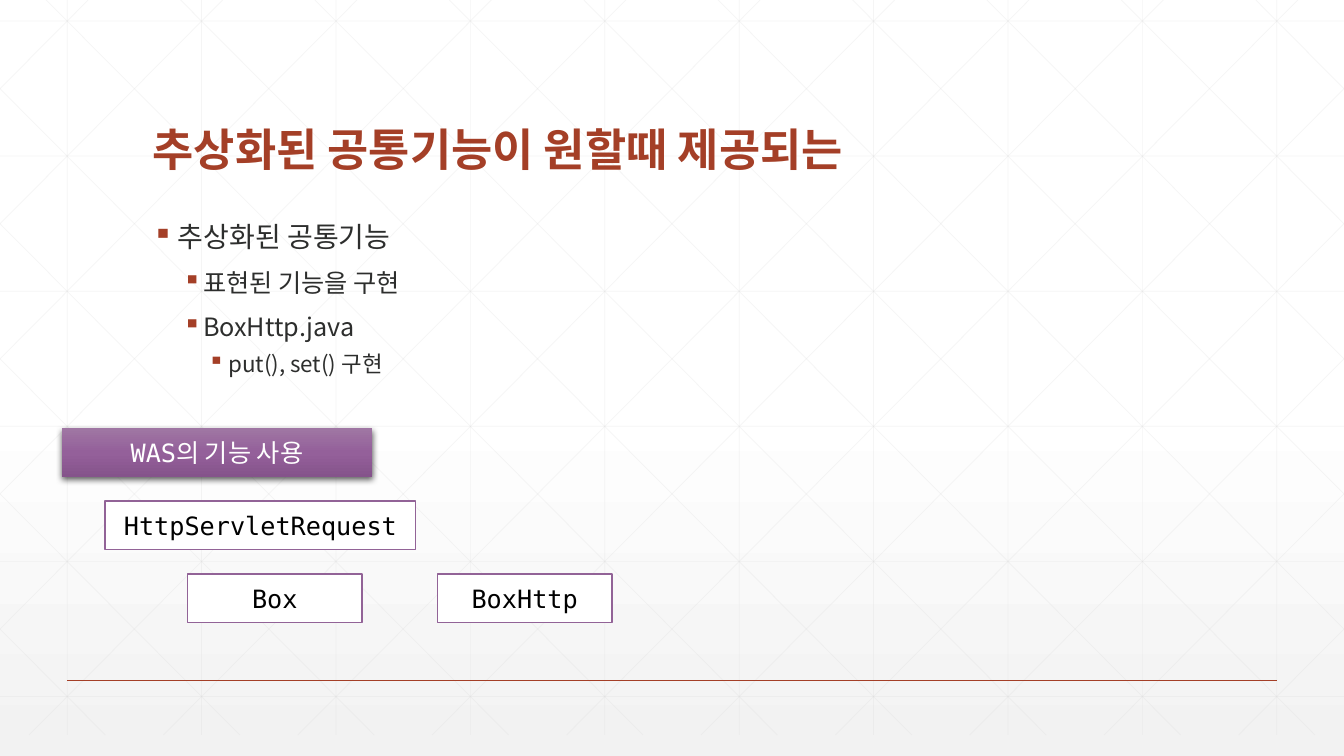
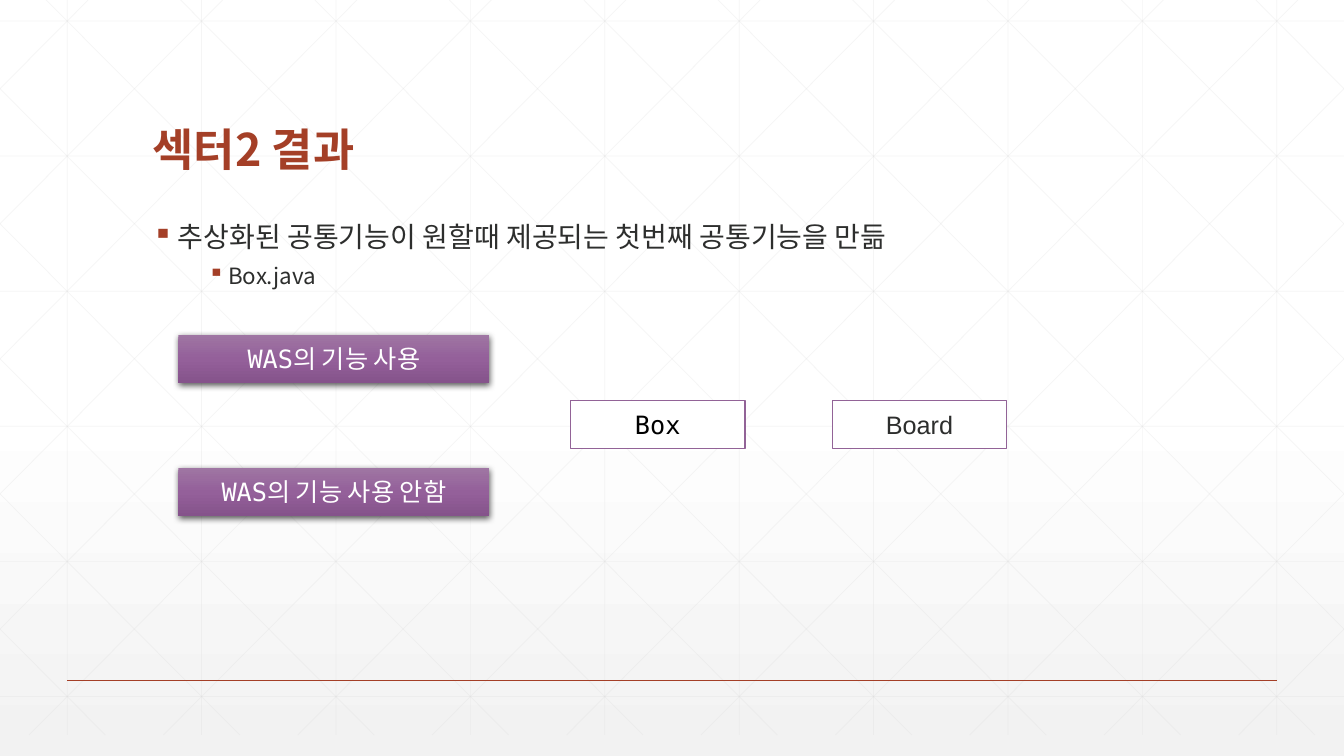
from lxml import etree
from pptx import Presentation
from pptx.dml.color import RGBColor
from pptx.enum import shapes, text
from pptx.oxml.ns import qn
from pptx.util import Pt

# Shared style
RUST = RGBColor(0xA4, 0x3F, 0x27)
INK = RGBColor(0x2D, 0x2E, 0x2D)
BLACK = RGBColor(0, 0, 0)
WHITE = RGBColor(0xFF, 0xFF, 0xFF)
GRID_GREY = RGBColor(0xD9, 0xD9, 0xD9)
PURPLE = RGBColor(0x92, 0x63, 0x97)
PAGE_STOPS = [(0, WHITE), (53, WHITE), (100, RGBColor(0xF2, 0xF2, 0xF2))]
BAND_STOPS = [(0, RGBColor(0x9F, 0x76, 0xA3)), (50, RGBColor(0x94, 0x60, 0x9A)),
              (100, RGBColor(0x85, 0x53, 0x8B))]
SANS, MONO, ARIAL = "Noto Sans CJK KR", "DejaVu Sans Mono", "Arial"
WIDTH, HEIGHT = 960, 540
GRID_BOTTOM, PITCH, ROW_PITCH = 525, 96, 96.5
TEXT_LEFT, TEXT_WIDTH = 102, 756
WIDE, NARROW, BOX_HEIGHT = 222, 124.6, 34.6

# Outline level: size, left indent, hanging indent, space before
LEVELS = [(20, 18, 18, 18), (18, 36, 14.4, 12), (16, 54, 14.4, 8)]

# Content: bullets are (level, text); bands and boxes are (text, left, top, ...)
SLIDES = [
    {"title": "추상화된 공통기능이 원할때 제공되는",
     "bullets": [(0, "추상화된 공통기능"), (1, "표현된 기능을 구현"),
                 (1, "BoxHttp.java"), (2, "put(), set() 구현")],
     "bands": [("WAS의 기능 사용", 44, 306)],
     "boxes": [("HttpServletRequest", 75, 358, WIDE, MONO, BLACK),
               ("Box", 134, 410, NARROW, MONO, BLACK),
               ("BoxHttp", 312.5, 410, NARROW, MONO, BLACK)]},
    {"title": "섹터2 결과",
     "bullets": [(0, "추상화된 공통기능이 원할때 제공되는 첫번째 공통기능을 만듦"),
                 (2, "Box.java")],
     "bands": [("WAS의 기능 사용", 127.5, 239), ("WAS의 기능 사용 안함", 127.5, 334)],
     "boxes": [("Box", 407.5, 286, NARROW, MONO, BLACK),
               ("Board", 594.5, 286, NARROW, ARIAL, INK)]},
]


def set_gradient(fill, element, stops):
    """Fill from top to bottom with the given colour stops."""
    fill.gradient()
    fill.gradient_angle = 270
    stop_list = element.find(".//" + qn("a:gsLst"))
    for old in list(stop_list):
        stop_list.remove(old)
    for percent, color in stops:
        stop = etree.SubElement(stop_list, qn("a:gs"), pos=str(percent * 1000))
        etree.SubElement(stop, qn("a:srgbClr"), val=str(color))


def format_run(r, size, font, color, bold=False):
    r.font.size, r.font.bold = Pt(size), bold
    r.font.color.rgb = color
    r.font.name = font
    etree.SubElement(r.font._element, qn("a:ea"), typeface=SANS)


def add_line(s, x1, y1, x2, y2, color, width, alpha=None):
    line = s.shapes.add_connector(shapes.MSO_CONNECTOR.STRAIGHT,
                                  Pt(x1), Pt(y1), Pt(x2), Pt(y2))
    line.line.color.rgb = color
    line.line.width = Pt(width)
    sp_pr = line._element.spPr
    if alpha:
        etree.SubElement(sp_pr.find(".//" + qn("a:srgbClr")), qn("a:alpha"),
                         val=str(alpha * 1000))
    etree.SubElement(sp_pr, qn("a:effectLst"))


def grid_lines():
    """Vertical, horizontal and mirrored diagonal lines, cut at the slide edges."""
    lines = [(48 + PITCH * i, 0, 48 + PITCH * i, GRID_BOTTOM) for i in range(10)]
    lines += [(0, 15 + ROW_PITCH * i, WIDTH, 15 + ROW_PITCH * i) for i in range(6)]
    slope = PITCH / ROW_PITCH
    for k in range(-5, 10):
        start = 33 + PITCH * k
        x1 = max(start, 0)
        x2 = min(start + GRID_BOTTOM * slope, WIDTH)
        y1, y2 = ((x - start) / slope for x in (x1, x2))
        lines += [(x1, y1, x2, y2), (WIDTH - x1, y1, WIDTH - x2, y2)]
    return lines


def add_base(s):
    set_gradient(s.background.fill, s._element, PAGE_STOPS)
    for ends in grid_lines():
        add_line(s, *ends, GRID_GREY, 0.5, alpha=25)
    add_line(s, 48, 486, 912, 486, RUST, 1)


def add_text_box(s, top, height):
    tf = s.shapes.add_textbox(Pt(TEXT_LEFT), Pt(top), Pt(TEXT_WIDTH), Pt(height)).text_frame
    tf.word_wrap = True
    return tf


def add_title(s, title):
    tf = add_text_box(s, 39.6, 90)
    tf.vertical_anchor = text.MSO_ANCHOR.BOTTOM
    p = tf.paragraphs[0]
    p.text, p.line_spacing = title, 0.9
    format_run(p.runs[0], 32, SANS, RUST, bold=True)


def add_bullets(s, bullets):
    tf = add_text_box(s, 156, 300)
    for i, (level, line) in enumerate(bullets):
        p = tf.add_paragraph() if i else tf.paragraphs[0]
        size, left, hang, before = LEVELS[level]
        p.text, p.level, p.line_spacing = line, level, 0.9
        if i:
            p.space_before = Pt(before)
        p_pr = p._p.get_or_add_pPr()
        p_pr.set("marL", str(Pt(left)))
        p_pr.set("indent", str(-Pt(hang)))
        bullet_color = etree.SubElement(p_pr, qn("a:buClr"))
        etree.SubElement(bullet_color, qn("a:srgbClr"), val=str(RUST))
        etree.SubElement(p_pr, qn("a:buChar"), char="▪")
        format_run(p.runs[0], size, SANS, INK)


def add_box(s, label, left, top, width, font, color):
    sp = s.shapes.add_shape(shapes.MSO_SHAPE.RECTANGLE,
                            Pt(left), Pt(top), Pt(width), Pt(BOX_HEIGHT))
    sp.shadow.inherit = False
    sp.fill.solid()
    sp.fill.fore_color.rgb = WHITE
    sp.line.color.rgb = PURPLE
    sp.line.width = Pt(1)
    tf = sp.text_frame
    tf.text = label
    tf.vertical_anchor = text.MSO_ANCHOR.MIDDLE
    tf.paragraphs[0].alignment = text.PP_ALIGN.CENTER
    format_run(tf.paragraphs[0].runs[0], 18, font, color)
    return sp


def add_band(s, label, left, top):
    """A box with a purple gradient and a soft shadow below it."""
    sp = add_box(s, label, left, top, WIDE, MONO, WHITE)
    sp.line.fill.background()
    set_gradient(sp.fill, sp._element, BAND_STOPS)
    shadow = etree.SubElement(sp._element.spPr.find(qn("a:effectLst")), qn("a:outerShdw"),
                              blurRad=str(Pt(4.5)), dist=str(Pt(1.5)),
                              dir="5400000", rotWithShape="0")
    shade = etree.SubElement(shadow, qn("a:srgbClr"), val=str(BLACK))
    etree.SubElement(shade, qn("a:alpha"), val="63000")


def main():
    prs = Presentation()
    prs.slide_width, prs.slide_height = Pt(WIDTH), Pt(HEIGHT)
    for content in SLIDES:
        s = prs.slides.add_slide(prs.slide_layouts[6])
        add_base(s)
        add_title(s, content["title"])
        add_bullets(s, content["bullets"])
        for box in content["boxes"]:
            add_box(s, *box)
        for band in content["bands"]:
            add_band(s, *band)
    prs.save("out.pptx")


if __name__ == "__main__":
    main()
